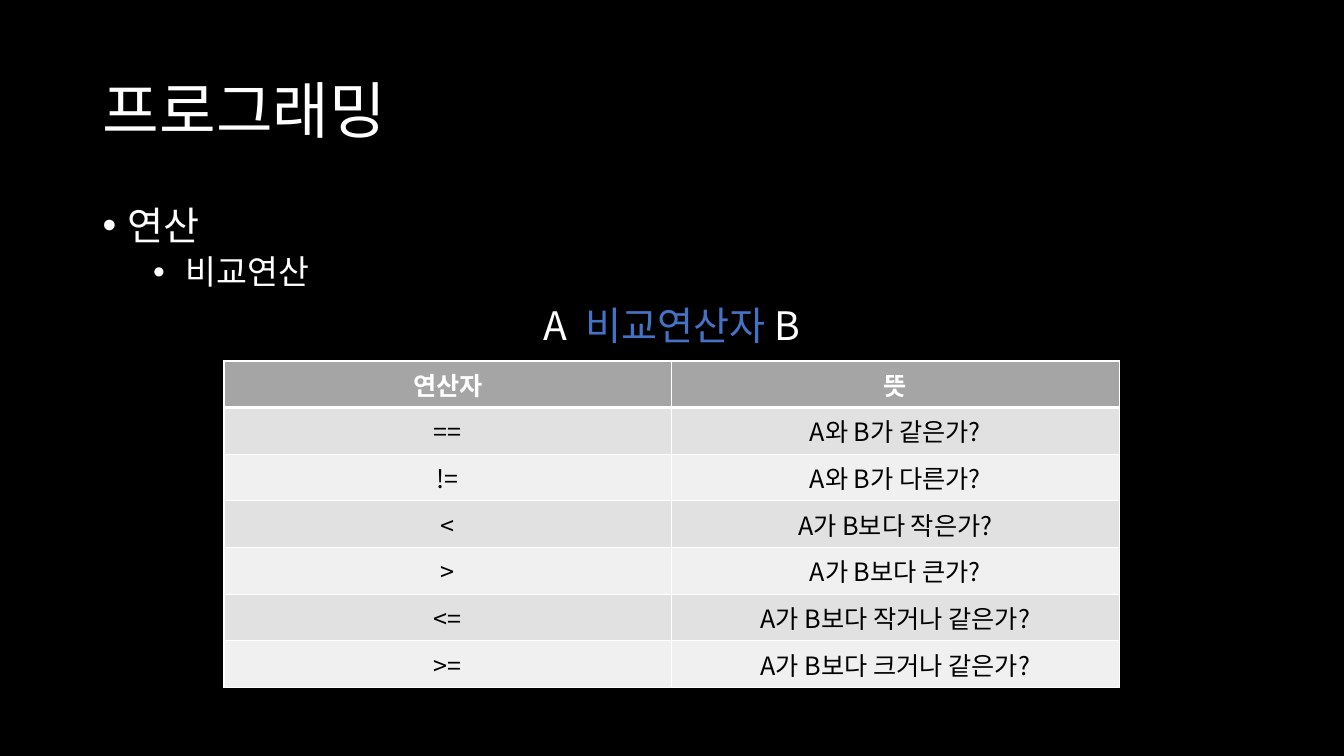
from lxml.etree import SubElement
from pptx import Presentation
from pptx.dml.color import RGBColor
from pptx.enum.text import MSO_ANCHOR, MSO_AUTO_SIZE, PP_ALIGN
from pptx.oxml.ns import qn
from pptx.util import Inches, Pt

BLACK = RGBColor(0x00, 0x00, 0x00)
WHITE = RGBColor(0xFF, 0xFF, 0xFF)
BLUE = RGBColor(0x44, 0x72, 0xC4)
HEADER = RGBColor(0xA5, 0xA5, 0xA5)
BANDS = (RGBColor(0xF0, 0xF0, 0xF0), RGBColor(0xE1, 0xE1, 0xE1))
FONT = "Noto Sans CJK KR"

MARGIN, CONTENT_WIDTH = 6.9, 86.25
OPERATORS = [
    ("연산자", "뜻"),
    ("==", "A와 B가 같은가?"),
    ("!=", "A와 B가 다른가?"),
    ("<", "A가 B보다 작은가?"),
    (">", "A가 B보다 큰가?"),
    ("<=", "A가 B보다 작거나 같은가?"),
    (">=", "A가 B보다 크거나 같은가?"),
]


def write(p, text, size=18, color=WHITE, bold=False, tracking=0):
    """Add a run; tracking is extra letter spacing in points."""
    r = p.add_run()
    r.text = text
    r.font.name = FONT
    r.font.size = Pt(size)
    r.font.bold = bold
    r.font.color.rgb = color
    rPr = r._r.get_or_add_rPr()
    SubElement(rPr, qn("a:ea"), typeface=FONT)
    if tracking:
        rPr.set("spc", str(round(tracking * 100)))


def add_bullet(p, left, hanging):
    pPr = p._p.get_or_add_pPr()
    pPr.set("marL", str(Inches(left)))
    pPr.set("indent", str(-Inches(hanging)))
    SubElement(pPr, qn("a:buFont"), typeface="Arial")
    SubElement(pPr, qn("a:buChar"), char="•")


def set_borders(cell, bottom):
    tcPr = cell._tc.get_or_add_tcPr()
    for i, (side, width) in enumerate(zip("LRTB", (1, 1, 1, bottom))):
        ln = tcPr.makeelement(qn(f"a:ln{side}"), {"w": str(Pt(width))})
        fill = SubElement(ln, qn("a:solidFill"))
        SubElement(fill, qn("a:srgbClr"), val=str(WHITE))
        tcPr.insert(i, ln)


class Deck:
    """Places elements on the current slide, in percent of its size."""

    def __init__(self):
        self.prs = Presentation()
        self.prs.slide_width = Inches(13.333)
        self.prs.slide_height = Inches(7.5)

    def new_slide(self):
        self.s = self.prs.slides.add_slide(self.prs.slide_layouts[5])
        self.s.background.fill.solid()
        self.s.background.fill.fore_color.rgb = BLACK

    def box(self, left, top, width, height):
        w, h = self.prs.slide_width, self.prs.slide_height
        return [round(share * side / 100) for share, side in
                zip((left, top, width, height), (w, h, w, h))]

    def title(self, text, *area):
        sp = self.s.shapes.title
        sp.left, sp.top, sp.width, sp.height = self.box(*area)
        tf = sp.text_frame
        tf.auto_size = MSO_AUTO_SIZE.NONE
        tf.vertical_anchor = MSO_ANCHOR.MIDDLE
        p = tf.paragraphs[0]
        p.alignment = PP_ALIGN.LEFT
        p.line_spacing = 0.9
        write(p, text, size=44)

    def text_frame(self, *area):
        tf = self.s.shapes.add_textbox(*self.box(*area)).text_frame
        tf.word_wrap = True
        return tf

    def bullets(self, items, *area):
        tf = self.text_frame(*area)
        for level, text in enumerate(items):
            p = tf.paragraphs[0] if level == 0 else tf.add_paragraph()
            p.level = level
            p.line_spacing = 0.9
            p.space_before = Pt(10 - 5 * level)
            add_bullet(p, 0.25 + 0.5 * level, 0.25)
            write(p, text, size=28 - 4 * level)

    def formula(self, runs, *area):
        p = self.text_frame(*area).paragraphs[0]
        p.alignment = PP_ALIGN.CENTER
        for text, style in runs:
            write(p, text, size=28, **style)

    def table(self, rows, *area):
        table = self.s.shapes.add_table(
            len(rows), len(rows[0]), *self.box(*area)).table
        for i, row in enumerate(rows):
            head = i == 0
            for j, text in enumerate(row):
                cell = table.cell(i, j)
                cell.fill.solid()
                cell.fill.fore_color.rgb = HEADER if head else BANDS[i % 2]
                set_borders(cell, bottom=3 if head else 1)
                p = cell.text_frame.paragraphs[0]
                p.alignment = PP_ALIGN.CENTER
                write(p, text, color=WHITE if head else BLACK, bold=head)


def main():
    deck = Deck()
    deck.new_slide()
    deck.title("프로그래밍", MARGIN, 5.33, CONTENT_WIDTH, 19.33)
    deck.bullets(["연산", " 비교연산"], MARGIN, 26.67, CONTENT_WIDTH, 63.47)
    deck.table(OPERATORS, 16.67, 47.75, 66.6, 43.2)
    deck.formula([("A ", {"tracking": 3.5}),
                  ("비교연산자 ", {"color": BLUE}),
                  ("B", {})], 36.1, 39.2, 27.8, 7.6)
    deck.prs.save("out.pptx")


if __name__ == "__main__":
    main()
